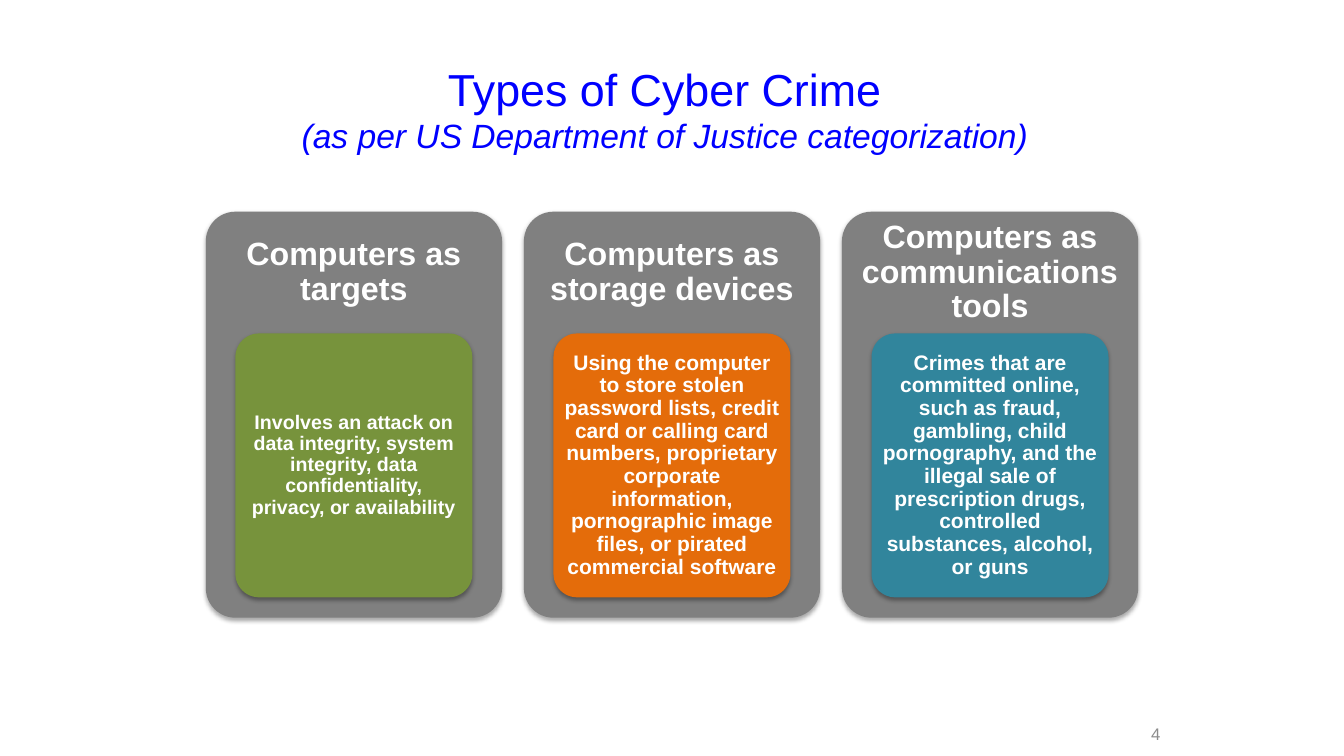
import dataclasses

import lxml.etree
import pptx
import pptx.dml.color
import pptx.enum.shapes
import pptx.enum.text
import pptx.oxml
import pptx.oxml.ns
import pptx.util

Pt = pptx.util.Pt
CENTER = pptx.enum.text.PP_ALIGN.CENTER
RIGHT = pptx.enum.text.PP_ALIGN.RIGHT


@dataclasses.dataclass(frozen=True)
class Theme:
    font: str = "Arial"
    title_color: str = "0000FF"
    number_color: str = "8C8C8C"
    card_color: str = "808080"
    card_text: str = "FFFFFF"
    title_size: int = 32
    subtitle_size: int = 24
    heading_size: int = 23
    number_size: int = 12
    line_spacing: float = 0.9


THEME = Theme()

# Heading, description, panel colour, description size
CRIME_TYPES = [
    ("Computers as targets",
     "Involves an attack on data integrity, system integrity, data "
     "confidentiality, privacy, or availability", "77933C", 14),
    ("Computers as storage devices",
     "Using the computer to store stolen password lists, credit card or "
     "calling card numbers, proprietary corporate information, pornographic "
     "image files, or pirated commercial software", "E46C0A", 15),
    ("Computers as communications tools",
     "Crimes that are committed online, such as fraud, gambling, child "
     "pornography, and the illegal sale of prescription drugs, controlled "
     "substances, alcohol, or guns", "31859C", 15),
]


def rgb(color):
    return pptx.dml.color.RGBColor.from_string(color)


def prepare_text(shape, align, inset_x, inset_y):
    """Set up the text frame and return its first paragraph."""
    frame = shape.text_frame
    frame.word_wrap = True
    frame.vertical_anchor = pptx.enum.text.MSO_ANCHOR.MIDDLE
    frame.margin_left = frame.margin_right = Pt(inset_x)
    frame.margin_top = frame.margin_bottom = Pt(inset_y)
    paragraph = frame.paragraphs[0]
    paragraph.alignment = align
    return paragraph


def add_run(paragraph, text, size, color, bold=False, italic=False):
    run = paragraph.add_run()
    run.text = text
    run.font.name = THEME.font
    run.font.size = Pt(size)
    run.font.bold = bold
    run.font.italic = italic
    run.font.color.rgb = rgb(color)


def add_textbox(slide, box):
    return slide.shapes.add_textbox(*(Pt(length) for length in box))


def add_rounded_panel(slide, box, color):
    """Add a filled rounded rectangle with a soft shadow below it."""
    shape = slide.shapes.add_shape(
        pptx.enum.shapes.MSO_SHAPE.ROUNDED_RECTANGLE,
        *(Pt(length) for length in box))
    shape.adjustments[0] = 0.1
    shape.fill.solid()
    shape.fill.fore_color.rgb = rgb(color)
    shape.line.fill.background()
    shape.shadow.inherit = False
    effects = shape._element.spPr.find(pptx.oxml.ns.qn("a:effectLst"))
    effects.append(pptx.oxml.parse_xml(
        f'<a:outerShdw {pptx.oxml.ns.nsdecls("a")} blurRad="{Pt(3.1)}" '
        f'dist="{Pt(1.8)}" dir="5400000" rotWithShape="0">'
        '<a:srgbClr val="000000"><a:alpha val="35000"/></a:srgbClr>'
        '</a:outerShdw>'))
    return shape


def add_title(slide, box):
    paragraph = prepare_text(add_textbox(slide, box), CENTER, 7.2, 3.6)
    add_run(paragraph, "Types of Cyber Crime", THEME.title_size,
            THEME.title_color)
    paragraph.add_line_break()
    add_run(paragraph, "(as per US Department of Justice categorization)",
            THEME.subtitle_size, THEME.title_color, italic=True)


def add_card(slide, box, heading, description, color, size):
    left, top, width, height = box
    heading_height = height * 0.3

    # Grey card and its heading
    add_rounded_panel(slide, box, THEME.card_color)
    heading_box = add_textbox(slide, (left, top, width, heading_height))
    paragraph = prepare_text(heading_box, CENTER, 7.2, 7.2)
    paragraph.line_spacing = THEME.line_spacing
    add_run(paragraph, heading, THEME.heading_size, THEME.card_text, bold=True)

    # Coloured panel with the description
    panel = add_rounded_panel(
        slide, (left + width * 0.1, top + heading_height,
                width * 0.8, height * 0.65), color)
    paragraph = prepare_text(panel, CENTER, 2.9, 2.2)
    paragraph.line_spacing = THEME.line_spacing
    add_run(paragraph, description, size, THEME.card_text, bold=True)


def add_cards(slide, box):
    left, top, width, height = box
    gap = 15.6
    card_width = (width - gap * (len(CRIME_TYPES) - 1)) / len(CRIME_TYPES)
    for index, crime_type in enumerate(CRIME_TYPES):
        card_left = left + index * (card_width + gap)
        add_card(slide, (card_left, top, card_width, height), *crime_type)


def add_page_number(slide, box):
    paragraph = prepare_text(add_textbox(slide, box), RIGHT, 7.2, 3.6)
    add_run(paragraph, "4", THEME.number_size, THEME.number_color)


def main():
    presentation = pptx.Presentation()
    presentation.slide_width = Pt(960)
    presentation.slide_height = Pt(540)
    slide = presentation.slides.add_slide(presentation.slide_layouts[6])
    add_title(slide, (146.2, 21.6, 657.4, 111.6))
    add_cards(slide, (147, 151.2, 666, 290))
    add_page_number(slide, (787, 518.4, 49, 10.8))
    presentation.save("out.pptx")


if __name__ == "__main__":
    main()
